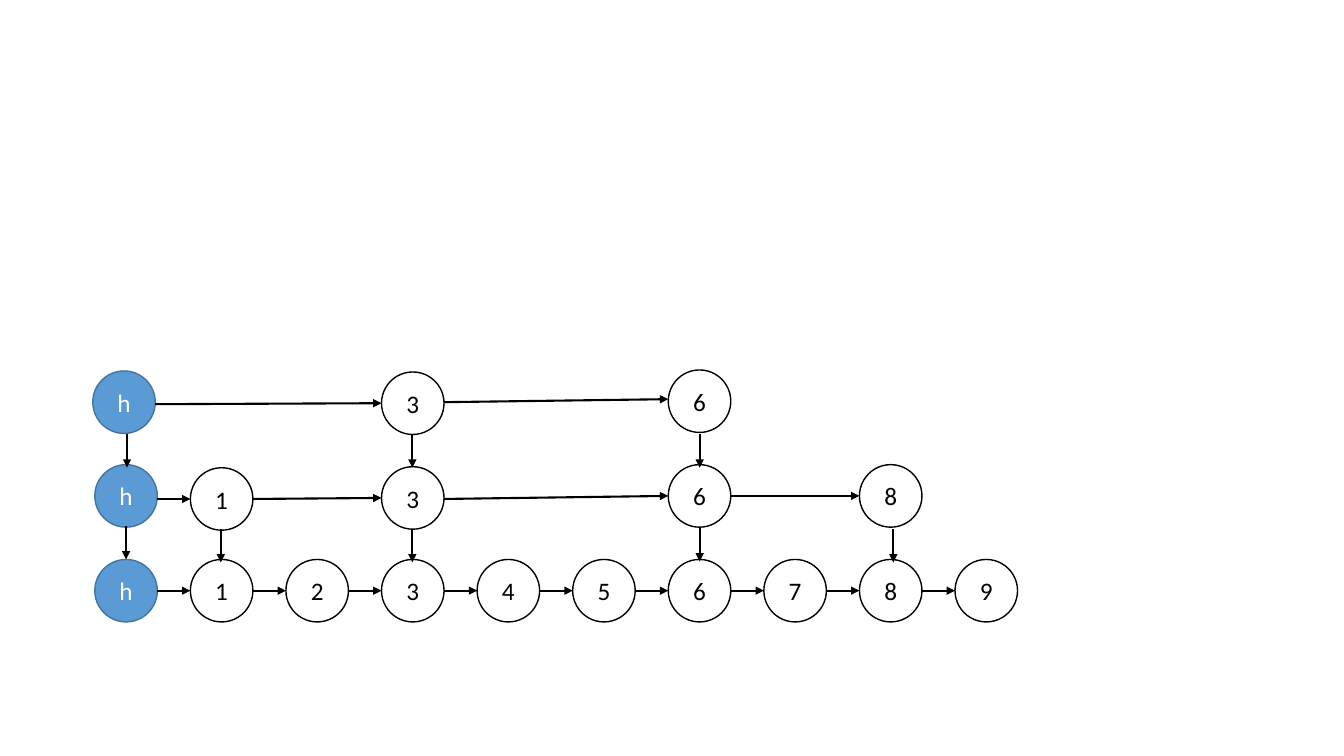
from itertools import pairwise

from lxml.etree import SubElement
from pptx import Presentation
from pptx.dml.color import RGBColor
from pptx.enum.shapes import MSO_CONNECTOR, MSO_SHAPE
from pptx.enum.text import MSO_ANCHOR, PP_ALIGN
from pptx.oxml.ns import qn
from pptx.util import Inches, Pt

COLORS = {"head": "5B9BD5", "head_edge": "43739E", "white": "FFFFFF", "black": "000000"}
FONT = "Calibri"
FIRST_LEFT, COLUMN_STEP, DIAMETER, DROP_LENGTH = 0.94, 0.948, 0.62, 0.33

LEVELS = [
    {
        "head_shift": 0,
        "node_tops": {key: 5.55 for key in range(10)},
        "link_heights": [(5.86, 5.86)] * 9,
        "drops": [],
    },
    {
        "head_shift": 0,
        "node_tops": {0: 4.61, 1: 4.64, 3: 4.63, 6: 4.61, 8: 4.61},
        "link_heights": [(4.95, 4.95), (4.95, 4.94), (4.95, 4.92), (4.92, 4.92)],
        "drops": [(1.25, 5.22), (2.19, 5.25), (4.09, 5.25), (6.94, 5.24), (8.86, 5.25)],
    },
    {
        "head_shift": -0.02,
        "node_tops": {0: 3.68, 3: 3.69, 6: 3.67},
        "link_heights": [(4.01, 4.0), (3.99, 3.96)],
        "drops": [(1.26, 4.31), (4.09, 4.31), (6.94, 4.31)],
    },
]


def color(name):
    return RGBColor.from_string(COLORS[name])


def node_left(key, level):
    return FIRST_LEFT + key * COLUMN_STEP + (level["head_shift"] if key == 0 else 0)


def add_node(slide, key, left, top):
    is_head = key == 0
    node = slide.shapes.add_shape(
        MSO_SHAPE.OVAL, Inches(left), Inches(top), Inches(DIAMETER), Inches(DIAMETER)
    )
    node.shadow.inherit = False
    node.fill.solid()
    node.fill.fore_color.rgb = color("head" if is_head else "white")
    node.line.color.rgb = color("head_edge" if is_head else "black")
    node.line.width = Pt(1)
    node.text_frame.vertical_anchor = MSO_ANCHOR.MIDDLE
    paragraph = node.text_frame.paragraphs[0]
    paragraph.alignment = PP_ALIGN.CENTER
    label = paragraph.add_run()
    label.text = "h" if is_head else str(key)
    label.font.name = FONT
    label.font.size = Pt(18)
    label.font.color.rgb = color("white" if is_head else "black")


def add_arrow(slide, x1, y1, x2, y2):
    arrow = slide.shapes.add_connector(
        MSO_CONNECTOR.STRAIGHT, Inches(x1), Inches(y1), Inches(x2), Inches(y2)
    )
    arrow.line.color.rgb = color("black")
    arrow.line.width = Pt(1.5)
    SubElement(arrow.line._get_or_add_ln(), qn("a:tailEnd"), type="triangle")
    SubElement(arrow._element.spPr, qn("a:effectLst"))


def add_level(slide, level):
    for key, top in level["node_tops"].items():
        add_node(slide, key, node_left(key, level), top)
    for (key, following), (start_y, end_y) in zip(pairwise(level["node_tops"]), level["link_heights"]):
        add_arrow(slide, node_left(key, level) + DIAMETER, start_y, node_left(following, level), end_y)
    for x, y in level["drops"]:
        add_arrow(slide, x, y, x, y + DROP_LENGTH)


def main():
    presentation = Presentation()
    presentation.slide_width = Inches(13.33)
    presentation.slide_height = Inches(7.5)
    slide = presentation.slides.add_slide(presentation.slide_layouts[6])
    for level in LEVELS:
        add_level(slide, level)
    presentation.save("out.pptx")


if __name__ == "__main__":
    main()
